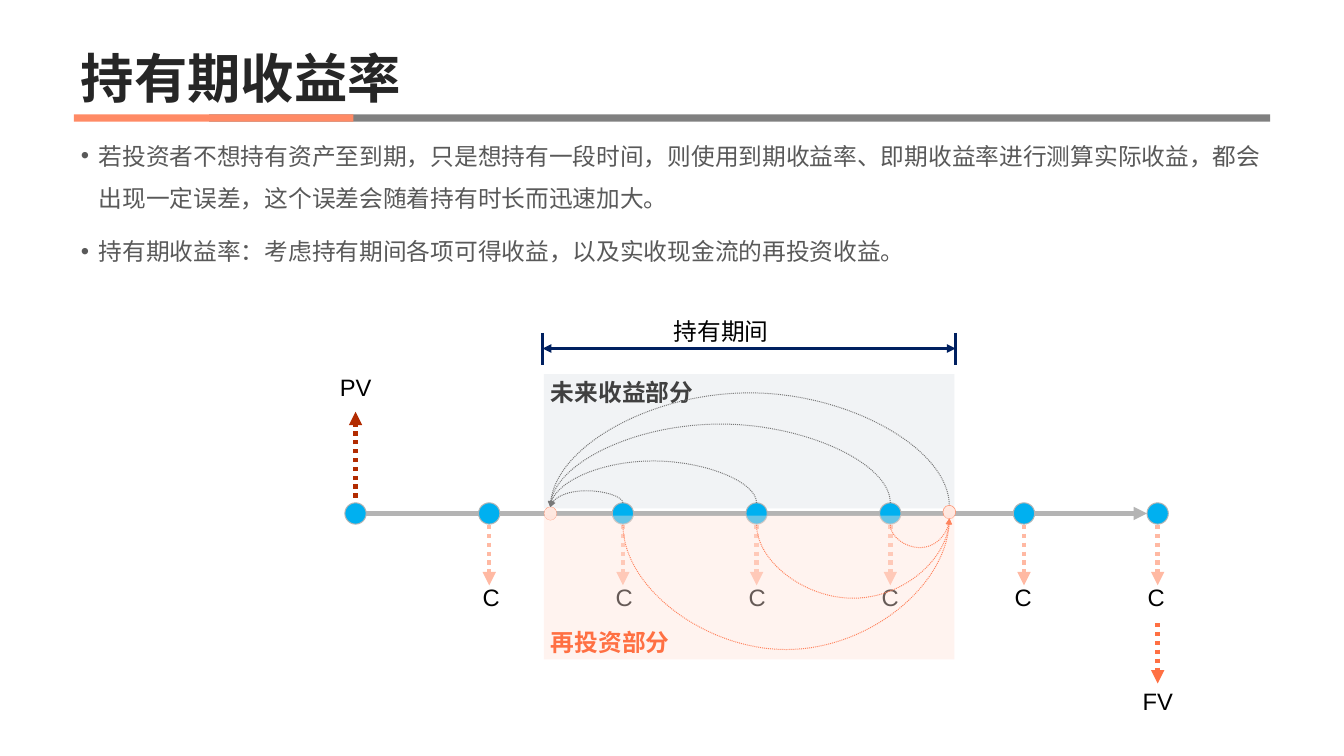
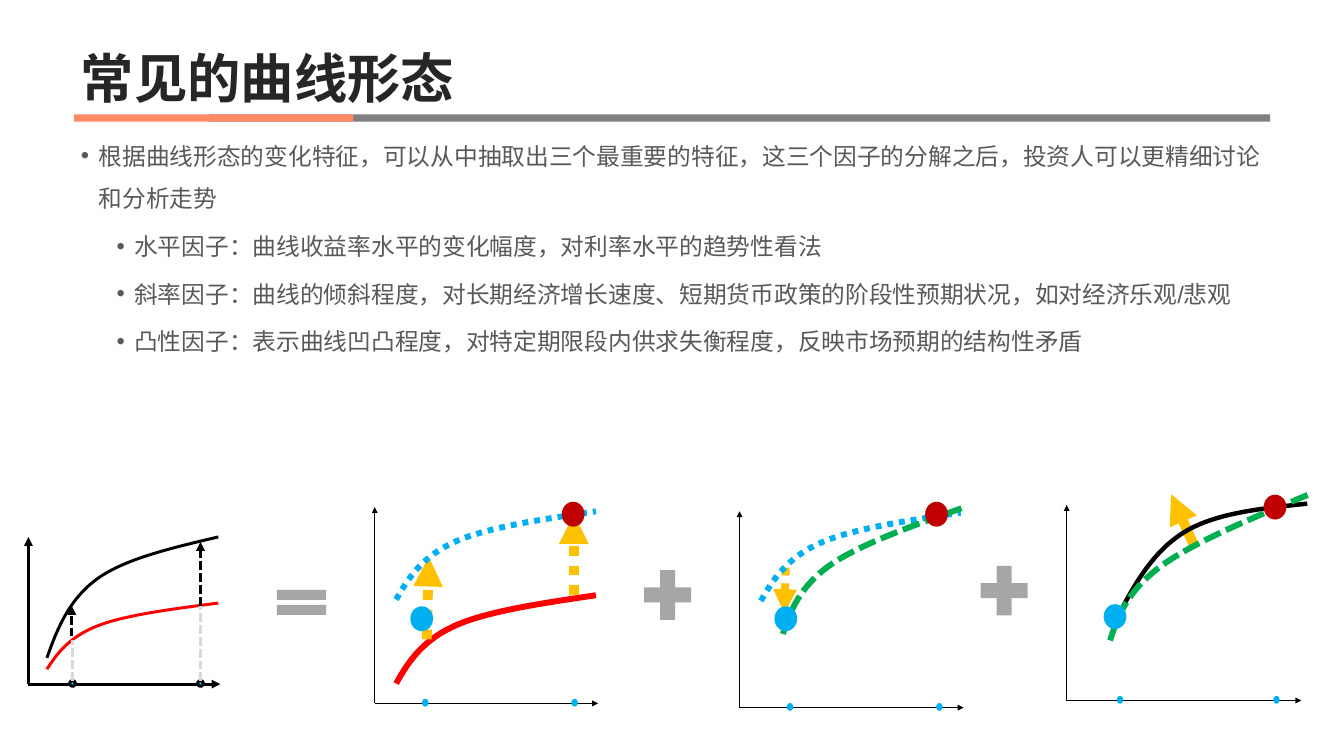
from lxml.etree import SubElement
from pptx import Presentation
from pptx.dml.color import RGBColor
from pptx.enum.dml import MSO_LINE
from pptx.enum.shapes import MSO_CONNECTOR, MSO_SHAPE
from pptx.enum.text import MSO_ANCHOR, MSO_AUTO_SIZE, PP_ALIGN
from pptx.oxml.ns import qn
from pptx.util import Inches, Pt

FONT = "Arial"
COLORS = {
    "title": "262626", "body": "595959", "band": "808080", "accent": "FF8A65",
    "black": "000000", "axis": "B4B4B4", "blue": "00B0F0", "red": "FF0000",
    "dark_red": "C00000", "green": "00B050", "amber": "FFC000", "guide": "D9D9D9",
    "operator": "A6A6A6", "navy": "002060", "coupon": "FFB9A3", "face": "FF7043",
    "price": "B22B00", "future": "DCE1E6", "future_text": "404040",
    "reinvest": "FFE2D9", "point": "FFE8E0", "discount": "787878", "compound": "FF460C",
}
DOT, DASH = MSO_LINE.ROUND_DOT, MSO_LINE.SQUARE_DOT

HOLDING_TITLE = "持有期收益率"
HOLDING_BODY = [
    (0, "若投资者不想持有资产至到期，只是想持有一段时间，则使用到期收益率、即期收益率进行测算实际收益，都会出现一定误差，这个误差会随着持有时长而迅速加大。"),
    (0, "持有期收益率：考虑持有期间各项可得收益，以及实收现金流的再投资收益。"),
]
CURVE_TITLE = "常见的曲线形态"
CURVE_BODY = [
    (0, "根据曲线形态的变化特征，可以从中抽取出三个最重要的特征，这三个因子的分解之后，投资人可以更精细讨论和分析走势"),
    (1, "水平因子：曲线收益率水平的变化幅度，对利率水平的趋势性看法"),
    (1, "斜率因子：曲线的倾斜程度，对长期经济增长速度、短期货币政策的阶段性预期状况，如对经济乐观/悲观"),
    (1, "凸性因子：表示曲线凹凸程度，对特定期限段内供求失衡程度，反映市场预期的结构性矛盾"),
]

FLOW_X = [5 + 1.88 * i for i in range(7)]
FLOW_Y = 7.22
BUY_X, SELL_X = 7.74, 13.35
HOLD_LEFT, HOLD_WIDTH = 7.65, 5.77
DISCOUNT_ARCS = [(FLOW_X[2], 7.07, 6.9), (FLOW_X[3], 7.07, 6.48),
                 (FLOW_X[4], 7.07, 5.96), (SELL_X, 7.11, 5.53)]
COMPOUND_ARCS = [(FLOW_X[2], 9.13), (FLOW_X[3], 8.41), (FLOW_X[4], 7.7)]

UNIT_CURVE = [(0, 1), (0.06, 0.76), (0.13, 0.51), (0.3, 0.34),
              (0.46, 0.18), (0.73, 0.09), (1, 0)]
PANELS = [
    {"axes": (0.4, 9.62, 7.55, 3.1, 3),
     "ticks": [(1.02, 9.61), (2.82, 9.61)], "tick_size": (0.08, 0.08), "tick_line": 3,
     "under": [((0.66, 8.48, 2.41, 0.93), 0, "red", 3, None),
               ((0.66, 7.55, 2.41, 1.7), 0, "black", 3, None)],
     "guides": [(1.02, 9.57, 1.02, 9), (2.82, 9.58, 2.82, 8.48)],
     "arrows": [((1.01, 8.95, 1.01, 8.52), "black", 3, DASH),
                ((2.82, 8.52, 2.82, 7.62), "black", 3, DASH)]},
    {"axes": (5.27, 9.89, 7.13, 8.41, 1.5),
     "ticks": [(5.98, 9.88), (8.08, 9.88)],
     "under": [((5.57, 8.37, 2.81, 1.24), 0, "red", 6, None)],
     "arrows": [((6, 8.99, 6.03, 7.83), "amber", 10, DOT),
                ((8.07, 8.37, 8.07, 7.23), "amber", 10, DOT)],
     "over": [((5.57, 7.19, 2.81, 1.24), 0, "blue", 6, DOT)],
     "markers": [(8.06, 7.23), (5.93, 8.7)]},
    {"axes": (10.4, 9.95, 7.19, 13.55, 1.5),
     "ticks": [(11.11, 9.94), (13.21, 9.94)],
     "arrows": [((11.05, 7.98, 11.03, 8.62), "amber", 8, DOT)],
     "over": [((10.7, 7.21, 2.81, 1.24), 0, "blue", 6, DOT),
              ((10.86, 7.41, 2.81, 1.24), 348.7, "green", 6, DASH)],
     "markers": [(13.17, 7.23), (11.05, 8.7)]},
    {"axes": (15, 9.85, 7.1, 18.3, 1.5),
     "ticks": [(15.75, 9.84), (17.95, 9.84)],
     "arrows": [((16.79, 7.67, 16.47, 6.95), "amber", 10, None)],
     "over": [((15.87, 6.82, 2.31, 2.22), 11.9, "black", 4.5, None),
              ((15.39, 7.36, 3.23, 1.24), 344.7, "green", 6, DASH)],
     "markers": [(17.93, 7.13), (15.68, 8.67)]},
]
OPERATORS = [(MSO_SHAPE.MATH_EQUAL, (3.77, 8.17, 0.94, 0.6)),
             (MSO_SHAPE.MATH_PLUS, (8.94, 7.89, 0.9, 0.95)),
             (MSO_SHAPE.MATH_PLUS, (13.67, 7.83, 0.9, 0.95))]


def rgb(name):
    return RGBColor.from_string(COLORS[name])


def lengths(values):
    return [Inches(v) for v in values]


def style_line(line, color, width, dash=None, arrow=False):
    line.color.rgb = rgb(color)
    line.width = Pt(width)
    if dash:
        line.dash_style = dash
    if arrow:
        SubElement(line._get_or_add_ln(), qn("a:tailEnd"), type="triangle")


def add_line(s, ends, color, width, dash=None, arrow=False, kind=MSO_CONNECTOR.STRAIGHT):
    c = s.shapes.add_connector(kind, *lengths(ends))
    style_line(c.line, color, width, dash, arrow)
    SubElement(c._element.spPr, qn("a:effectLst"))
    return c


def add_arc(s, start, end, peak_y, color):
    (x1, y1), (x2, y2) = start, end
    mid_x, mid_y = (x1 + x2) / 2, (y1 + y2) / 2
    w, h = abs(y2 - y1) / 2, abs(x2 - x1) / 2
    c = add_line(s, (mid_x - w, mid_y - h, mid_x + w, mid_y + h), color, 1, DOT, True,
                 MSO_CONNECTOR.CURVE)
    xfrm = c._element.spPr.find(qn("a:xfrm"))
    turn = 270 if y2 > y1 else 90
    for name, value in (("rot", turn * 60000), ("flipH", 1), ("flipV", 1)):
        xfrm.set(name, str(value))
    bend = round((peak_y - y1) / (y2 - y1) * 100000)
    guides = c._element.spPr.find(qn("a:prstGeom")).find(qn("a:avLst"))
    SubElement(guides, qn("a:gd"), name="adj1", fmla=f"val {bend}")


def add_shape(s, kind, box, fill, line=None, width=1, alpha=None):
    sp = s.shapes.add_shape(kind, *lengths(box))
    sp.shadow.inherit = False
    sp.fill.solid()
    sp.fill.fore_color.rgb = rgb(fill)
    if alpha:
        color = sp._element.spPr.find(qn("a:solidFill"))[0]
        SubElement(color, qn("a:alpha"), val=str(alpha * 1000))
    if line:
        style_line(sp.line, line, width)
    else:
        sp.line.fill.background()
    return sp


def add_dot(s, center, size, fill, line=None, width=1):
    (x, y), (w, h) = center, size
    return add_shape(s, MSO_SHAPE.OVAL, (x - w / 2, y - h / 2, w, h), fill, line, width)


def add_curve(s, box, rotation, color, width, dash):
    x, y, w, h = box
    pts = [(Inches(x + w * u), Inches(y + h * v)) for u, v in UNIT_CURVE]
    builder = s.shapes.build_freeform(*pts[0])
    builder.add_line_segments(pts[1:], close=False)
    sp = builder.convert_to_shape()
    segments = sp._element.xpath(".//a:lnTo")
    outline = segments[0].getparent()
    for i, segment in enumerate(segments):
        if i % 3 == 0:
            bezier = SubElement(outline, qn("a:cubicBezTo"))
        bezier.append(segment[0])
        outline.remove(segment)
    sp.rotation = rotation
    sp.shadow.inherit = False
    sp.fill.background()
    style_line(sp.line, color, width, dash)


def format_text(p, size, color, bold=False, align=PP_ALIGN.LEFT):
    p.alignment = align
    for r in p.runs:
        r.font.name, r.font.size, r.font.bold = FONT, Pt(size), bold
        r.font.color.rgb = rgb(color)


def set_text(sp, text, size, color, bold=False, anchor=MSO_ANCHOR.TOP,
             align=PP_ALIGN.LEFT, wrap=True):
    tf = sp.text_frame
    tf.word_wrap, tf.vertical_anchor = wrap, anchor
    tf.text = text
    format_text(tf.paragraphs[0], size, color, bold, align)
    return tf


def add_label(s, box, text, wrap=False, align=PP_ALIGN.LEFT):
    tf = set_text(s.shapes.add_textbox(*lengths(box)), text, 24, "black",
                  align=align, wrap=wrap)
    tf.auto_size = MSO_AUTO_SIZE.SHAPE_TO_FIT_TEXT


def add_slide(prs, title, body):
    s = prs.slides.add_slide(prs.slide_layouts[6])
    add_shape(s, MSO_SHAPE.RECTANGLE, (2.94, 1.61, 14.92, 0.1), "band")
    add_shape(s, MSO_SHAPE.RECTANGLE, (1.04, 1.61, 3.93, 0.1), "accent")
    tf = set_text(s.shapes.add_textbox(*lengths((1.04, 0, 16.82, 1.59))), title, 54,
                  "title", True, MSO_ANCHOR.BOTTOM)
    tf.paragraphs[0].line_spacing = 0.9
    tf = s.shapes.add_textbox(*lengths((1.04, 1.74, 16.82, 8.56))).text_frame
    tf.word_wrap = True
    for i, (level, text) in enumerate(body):
        p = tf.add_paragraph() if i else tf.paragraphs[0]
        p.text, p.level = text, level
        p.line_spacing, p.space_before = 1.5, Pt(5 if level else 10)
        format_text(p, 24, "body")
        pPr = p._p.get_or_add_pPr()
        pPr.set("marL", str(Inches(0.25 + 0.5 * level)))
        pPr.set("indent", str(Inches(-0.25)))
        SubElement(pPr, qn("a:buFont"), typeface=FONT)
        SubElement(pPr, qn("a:buChar"), char="•")
    return s


def draw_cash_flows(s):
    sp = add_shape(s, MSO_SHAPE.RECTANGLE, (HOLD_LEFT, 5.26, HOLD_WIDTH, 1.89),
                   "future", alpha=40)
    set_text(sp, "未来收益部分", 24, "future_text", True)
    add_line(s, (FLOW_X[0] + 0.15, FLOW_Y, FLOW_X[-1] - 0.15, FLOW_Y), "axis", 4.5, arrow=True)
    for x in FLOW_X:
        add_dot(s, (x, FLOW_Y), (0.3, 0.3), "blue", "axis")
    for i, x in enumerate(FLOW_X[1:]):
        add_line(s, (x, 7.38, x, 8.23), "coupon", 4.5, DOT, True)
        add_label(s, (6.69 + 1.87 * i, 8.15, 0.5, 0.58), "C")
    add_line(s, (FLOW_X[-1], 8.76, FLOW_X[-1], 9.61), "face", 4.5, DOT, True)
    add_label(s, (15.97, 9.61, 0.71, 0.58), "FV")
    add_line(s, (FLOW_X[0], 7, FLOW_X[0], 5.79), "price", 4.5, DOT, True)
    add_label(s, (4.68, 5.19, 0.73, 0.58), "PV")
    add_dot(s, (BUY_X, FLOW_Y), (0.18, 0.19), "point", "accent", 0.25)
    for x, y, peak in DISCOUNT_ARCS:
        add_arc(s, (x, y), (BUY_X, 7.13), peak, "discount")
    add_dot(s, (SELL_X, 7.2), (0.18, 0.19), "point", "accent", 0.5)
    for x, peak in COMPOUND_ARCS:
        add_arc(s, (x, 7.38), (SELL_X, 7.29), peak, "compound")
    sp = add_shape(s, MSO_SHAPE.RECTANGLE, (HOLD_LEFT, 7.25, HOLD_WIDTH, 2.02),
                   "reinvest", alpha=40)
    set_text(sp, "再投资部分", 24, "face", True, MSO_ANCHOR.BOTTOM)
    for x in (7.63, 13.44):
        add_line(s, (x, 4.68, x, 5.13), "navy", 3)
        add_line(s, (10.16, 4.9, x, 4.9), "navy", 3, arrow=True)
    add_label(s, (8.65, 4.41, 2.98, 0.5), "持有期间", True, PP_ALIGN.CENTER)


def draw_panel(s, panel):
    x, y, top, right, width = panel["axes"]
    for end in ((x, top), (right, y)):
        add_line(s, (x, y, *end), "black", width, arrow=True)
    for curve in panel.get("under", []):
        add_curve(s, *curve)
    tick_line = panel.get("tick_line")
    for center in panel["ticks"]:
        add_dot(s, center, panel.get("tick_size", (0.09, 0.11)), "blue",
                "black" if tick_line else None, tick_line)
    for ends in panel.get("guides", []):
        add_line(s, ends, "guide", 3, DASH)
    for arrow in panel["arrows"]:
        add_line(s, *arrow, arrow=True)
    for curve in panel.get("over", []):
        add_curve(s, *curve)
    for center, color in zip(panel.get("markers", []), ("dark_red", "blue")):
        add_dot(s, center, (0.32, 0.35), color)


def main():
    prs = Presentation()
    prs.slide_width, prs.slide_height = Inches(18.9), Inches(10.63)
    draw_cash_flows(add_slide(prs, HOLDING_TITLE, HOLDING_BODY))
    s = add_slide(prs, CURVE_TITLE, CURVE_BODY)
    for panel in PANELS:
        draw_panel(s, panel)
    for kind, box in OPERATORS:
        add_shape(s, kind, box, "operator")
    prs.save("out.pptx")


if __name__ == "__main__":
    main()
